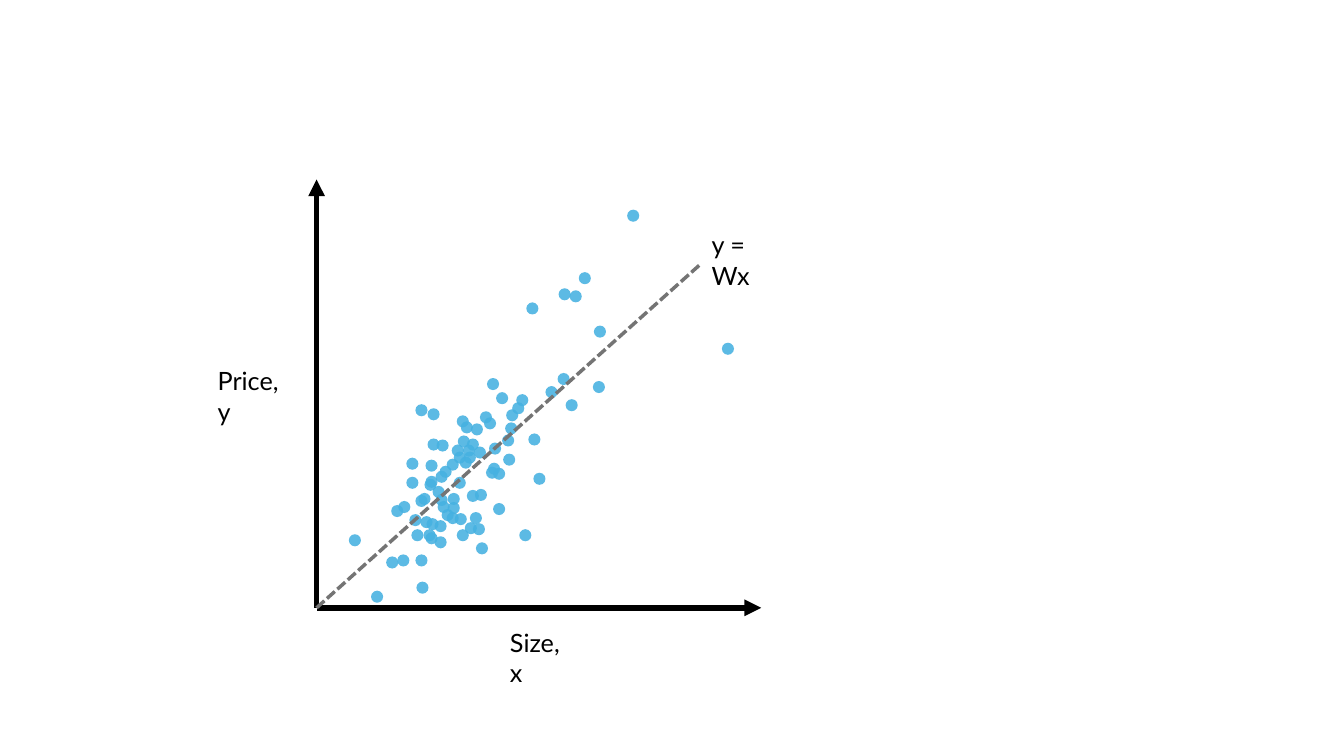
from dataclasses import dataclass

from lxml import etree
from pptx import Presentation
from pptx.dml.color import RGBColor
from pptx.enum.dml import MSO_LINE
from pptx.enum.shapes import MSO_CONNECTOR, MSO_SHAPE
from pptx.enum.text import MSO_ANCHOR, MSO_AUTO_SIZE, PP_ALIGN
from pptx.oxml.ns import qn
from pptx.util import Inches, Pt

STRAIGHT = MSO_CONNECTOR.STRAIGHT
OVAL = MSO_SHAPE.OVAL
SHORT_DASH = MSO_LINE.SQUARE_DOT
TOP = MSO_ANCHOR.TOP
GROW = MSO_AUTO_SIZE.SHAPE_TO_FIT_TEXT
LEFT = PP_ALIGN.LEFT


@dataclass(frozen=True)
class Theme:
    dot: RGBColor = RGBColor(0x46, 0xB1, 0xE1)
    dot_alpha: int = 88
    ink: RGBColor = RGBColor(0, 0, 0)
    fit: RGBColor = RGBColor(0x74, 0x74, 0x74)
    font: str = "Lato"
    label: Pt = Pt(18)
    axis_width: Pt = Pt(4)
    fit_width: Pt = Pt(2.5)


theme = Theme()

deck = Presentation()
deck.slide_width = Inches(13.33)
deck.slide_height = Inches(7.5)
slide = deck.slides.add_slide(deck.slide_layouts[6])
plot = slide.shapes.add_group_shape()


def add_line(start, end, color, width):
    line = plot.shapes.add_connector(STRAIGHT, *map(Inches, start + end))
    line.line.color.rgb = color
    line.line.width = width
    etree.SubElement(line.line._get_or_add_ln().getparent(), qn("a:effectLst"))
    return line


DOT_SIZE = 0.12
houses = [
    (3.46, 5.3), (3.68, 5.86), (3.83, 5.52), (3.94, 5.5), (4.12, 5.5),
    (4.13, 5.77), (3.88, 5.01), (3.95, 4.97), (4.03, 4.73), (4.03, 4.54),
    (4.12, 4.01), (4.24, 4.05), (4.24, 4.35), (4.33, 4.36), (4.22, 4.56),
    (4.22, 4.72), (4.21, 4.75), (4.15, 4.89), (4.12, 4.91), (4.06, 5.1),
    (4.08, 5.25), (4.17, 5.12), (4.23, 5.14), (4.2, 5.25), (4.22, 5.28),
    (4.31, 5.32), (4.31, 5.16), (4.29, 4.82), (4.32, 4.67), (4.36, 4.62),
    (4.32, 4.9), (4.34, 4.97), (4.38, 5.05), (4.43, 5.08), (4.44, 4.98),
    (4.44, 4.89), (4.51, 5.09), (4.53, 5.25), (4.61, 5.18), (4.72, 5.38),
    (4.69, 5.19), (4.66, 5.08), (4.71, 4.85), (4.63, 4.86), (4.5, 4.73),
    (4.43, 4.55), (4.48, 4.41), (4.5, 4.48), (4.53, 4.12), (4.57, 4.18),
    (4.54, 4.32), (4.56, 4.53), (4.6, 4.48), (4.59, 4.41), (4.63, 4.35),
    (4.7, 4.43), (4.67, 4.2), (4.76, 4.08), (4.8, 4.14), (4.83, 3.75),
    (4.92, 3.89), (5.02, 4.06), (5.01, 4.19), (4.98, 4.31), (4.99, 4.5),
    (4.85, 4.39), (4.89, 4.64), (4.84, 4.59), (4.82, 4.63), (4.89, 4.99),
    (5.15, 5.25), (5.29, 4.69), (5.24, 4.3), (5.08, 3.99), (5.12, 3.91),
    (5.22, 3), (5.54, 2.86), (5.65, 2.88), (5.74, 2.7), (6.22, 2.08),
    (5.89, 3.23), (5.88, 3.78), (5.61, 3.96), (5.53, 3.7), (5.41, 3.83),
    (7.16, 3.4),
]
for left, top in houses:
    dot = plot.shapes.add_shape(
        OVAL, Inches(left), Inches(top), Inches(DOT_SIZE), Inches(DOT_SIZE)
    )
    dot.shadow.inherit = False
    dot.line.fill.background()
    dot.fill.solid()
    dot.fill.fore_color.rgb = theme.dot
    color = dot.element.spPr.find(qn("a:solidFill"))[0]
    etree.SubElement(color, qn("a:alpha"), val=str(theme.dot_alpha * 1000))

origin = (3.14, 6.03)
for axis_end in [(3.14, 1.78), (7.55, 6.03)]:
    axis = add_line(origin, axis_end, theme.ink, theme.axis_width)
    etree.SubElement(axis.line._get_or_add_ln(), qn("a:tailEnd"), type="triangle")

fit = add_line(origin, (6.96, 2.61), theme.fit, theme.fit_width)
fit.line.dash_style = SHORT_DASH

labels = [
    ("Price, y", 2.06, 3.58, 0.98),
    ("Size, x", 4.96, 6.17, 0.87),
    ("y = Wx", 6.96, 2.23, 0.94),
]
for text, left, top, width in labels:
    box = plot.shapes.add_textbox(
        Inches(left), Inches(top), Inches(width), Inches(0.4)
    )
    frame = box.text_frame
    frame.word_wrap = True
    frame.auto_size = GROW
    frame.vertical_anchor = TOP
    frame.margin_right = Inches(0.2)
    para = frame.paragraphs[0]
    para.alignment = LEFT
    span = para.add_run()
    span.text = text
    span.font.name = theme.font
    span.font.size = theme.label
    span.font.color.rgb = theme.ink

deck.save("out.pptx")
